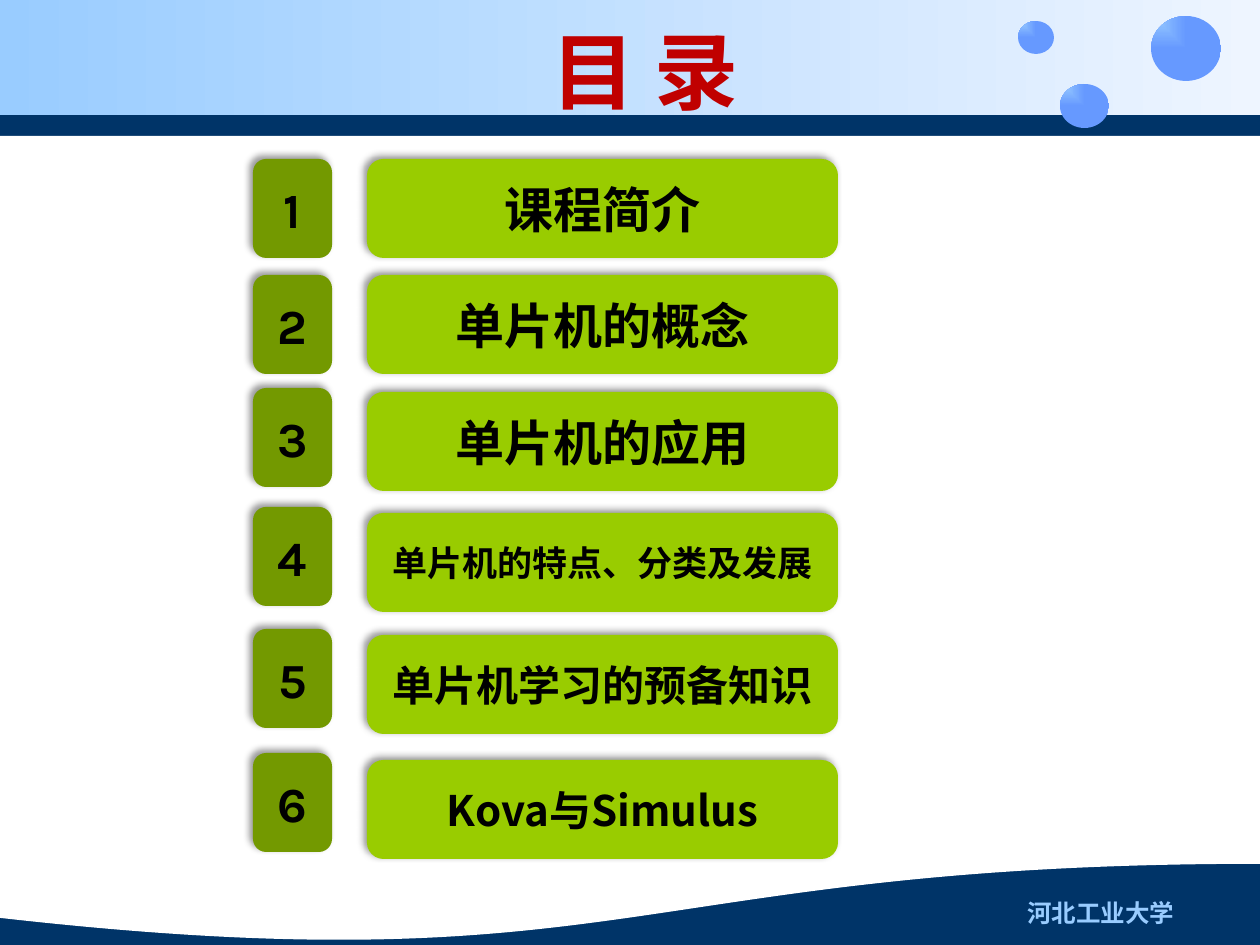
"""Build the contents slide of a microcontroller course."""
from dataclasses import dataclass

from lxml.etree import SubElement
from pptx import Presentation
from pptx.dml.color import RGBColor
from pptx.enum.shapes import MSO_SHAPE as Preset
from pptx.enum.text import MSO_ANCHOR as Anchor, MSO_AUTO_SIZE as AutoSize, PP_ALIGN as Align
from pptx.oxml.ns import qn
from pptx.shapes.autoshape import Shape
from pptx.slide import Slide
from pptx.text.text import TextFrame
from pptx.util import Emu, Pt

PX_PER_INCH = 126
CJK = "Noto Sans CJK SC"
NAVY, WHITE, BLACK, RED = "003468", "FFFFFF", "000000", "C00000"
SKY, PALE, BLUE = "99CCFF", "EEF5FF", "6699FF"
LIME, OLIVE = "99CC00", "739900"


@dataclass(frozen=True)
class Box:
    left: int
    top: int
    width: int
    height: int


@dataclass(frozen=True)
class Topic:
    title: str
    size: int
    number_top: int
    title_top: int


TOPICS = [
    Topic("课程简介", 28, 159, 159),
    Topic("单片机的概念", 28, 275, 275),
    Topic("单片机的应用", 28, 388, 392),
    Topic("单片机的特点、分类及发展", 20, 507, 513),
    Topic("单片机学习的预备知识", 24, 629, 635),
    Topic("Kova与Simulus", 24, 753, 760),
]
BUBBLES = [Box(1018, 21, 36, 33), Box(1060, 84, 49, 44), Box(1151, 16, 70, 65)]


def px(length: int) -> Emu:
    return Emu(length * 914400 // PX_PER_INCH)


def colour(value: str) -> RGBColor:
    return RGBColor.from_string(value)


def place(box: Box) -> tuple[Emu, Emu, Emu, Emu]:
    return px(box.left), px(box.top), px(box.width), px(box.height)


def add_shape(slide: Slide, preset: Preset, box: Box, fill: str) -> Shape:
    shape = slide.shapes.add_shape(preset, *place(box))
    shape.shadow.inherit = False
    shape.line.fill.background()
    shape.fill.solid()
    shape.fill.fore_color.rgb = colour(fill)
    return shape


def set_gradient(shape: Shape, start: str, end: str) -> None:
    shape.fill.gradient()
    shape.fill.gradient_angle = 0
    for stop, value, position in zip(shape.fill.gradient_stops, (start, end), (0, 1)):
        stop.color.rgb = colour(value)
        stop.position = position


def add_bubble(slide: Slide, box: Box) -> None:
    bubble = add_shape(slide, Preset.OVAL, box, BLUE)
    set_gradient(bubble, SKY, BLUE)
    gradient = bubble._element.spPr.find(qn("a:gradFill"))
    gradient.remove(gradient.find(qn("a:lin")))
    glow = SubElement(gradient, qn("a:path"), {"path": "rect"})
    SubElement(glow, qn("a:fillToRect"), {"r": "100000", "b": "100000"})


def add_shadow(shape: Shape) -> None:
    effects = shape._element.spPr.find(qn("a:effectLst"))
    shadow = SubElement(effects, qn("a:outerShdw"), {
        "blurRad": str(Pt(4)), "dist": str(Pt(3)), "dir": str(225 * 60000),
        "algn": "br", "rotWithShape": "0"})
    tint = SubElement(shadow, qn("a:srgbClr"), {"val": BLACK})
    SubElement(tint, qn("a:alpha"), {"val": "40000"})


def write(frame: TextFrame, text: str, size: int, face: str, value: str, align: Align) -> None:
    frame.word_wrap = True
    paragraph = frame.paragraphs[0]
    paragraph.text = text
    paragraph.alignment = align
    font = paragraph.font
    font.size, font.bold, font.name = Pt(size), True, face
    font.color.rgb = colour(value)
    SubElement(paragraph._p.pPr.find(qn("a:defRPr")), qn("a:ea"), {"typeface": face})


def add_card(slide: Slide, box: Box, fill: str, text: str, size: int, face: str) -> None:
    card = add_shape(slide, Preset.ROUNDED_RECTANGLE, box, fill)
    add_shadow(card)
    card.text_frame.vertical_anchor = Anchor.MIDDLE
    write(card.text_frame, text, size, face, BLACK, Align.CENTER)


def add_backdrop(slide: Slide) -> None:
    slide.background.fill.solid()
    slide.background.fill.fore_color.rgb = colour(NAVY)
    banner = add_shape(slide, Preset.RECTANGLE, Box(0, 0, 1260, 115), SKY)
    set_gradient(banner, SKY, PALE)
    add_shape(slide, Preset.RECTANGLE, Box(0, 136, 1260, 504), WHITE)
    add_shape(slide, Preset.FLOWCHART_DOCUMENT, Box(0, 535, 1260, 410), WHITE)
    for bubble in BUBBLES:
        add_bubble(slide, bubble)


def main() -> None:
    deck = Presentation()
    deck.slide_width, deck.slide_height = px(1260), px(945)
    slide = deck.slides.add_slide(deck.slide_layouts[6])
    add_backdrop(slide)

    school = slide.shapes.add_textbox(*place(Box(809, 892, 378, 42))).text_frame
    write(school, "河北工业大学", 14, "DejaVu Sans", SKY, Align.RIGHT)
    heading = slide.shapes.add_textbox(*place(Box(372, 13, 546, 115))).text_frame
    write(heading, "目 录", 48, CJK, RED, Align.CENTER)
    heading.auto_size = AutoSize.SHAPE_TO_FIT_TEXT

    for number, topic in enumerate(TOPICS, start=1):
        add_card(slide, Box(367, topic.title_top, 471, 99), LIME, topic.title, topic.size, CJK)
        add_card(slide, Box(253, topic.number_top, 79, 99), OLIVE, str(number), 28, "Karla")

    deck.save("out.pptx")


if __name__ == "__main__":
    main()
